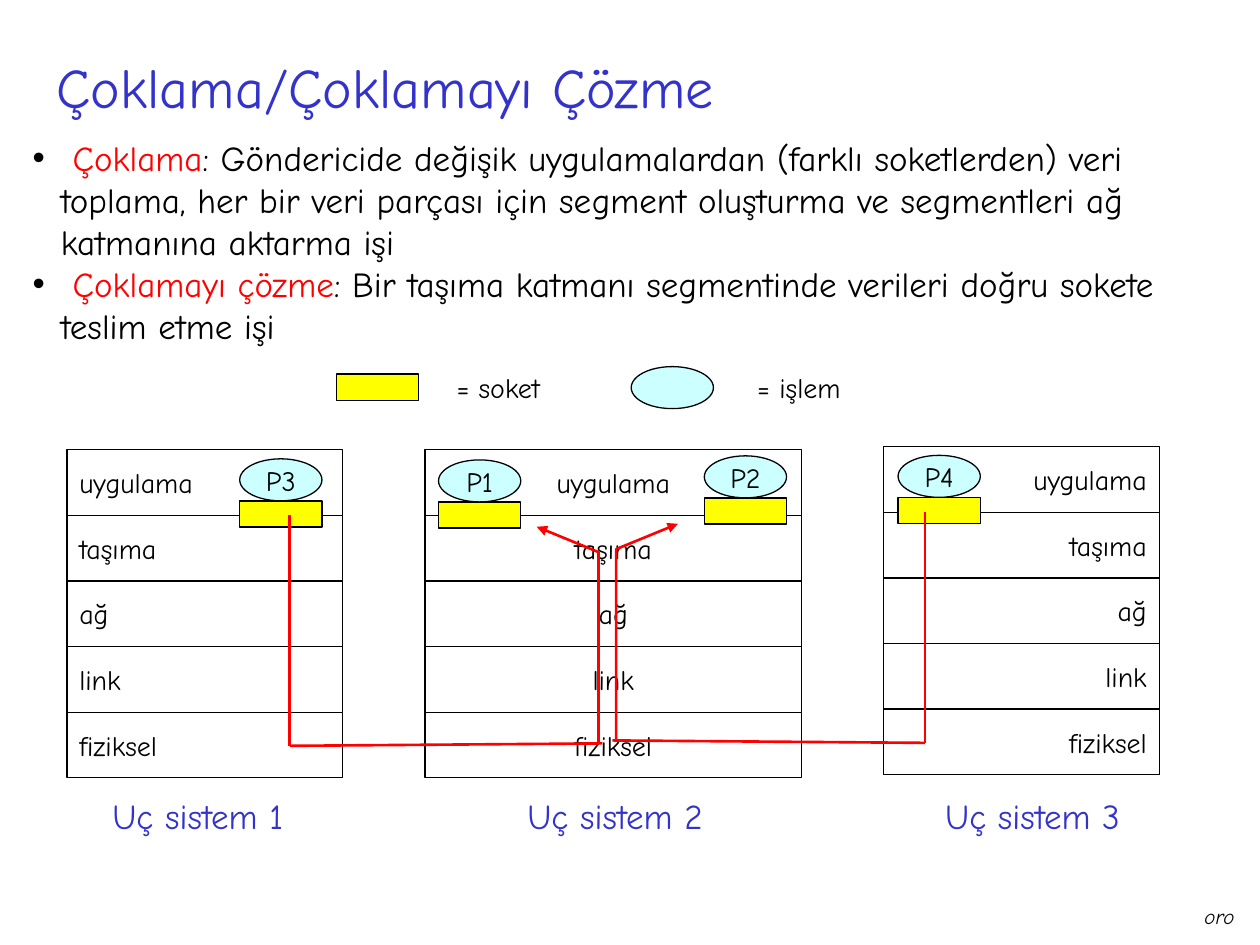
from dataclasses import dataclass

from lxml import etree
from pptx import Presentation
from pptx.dml.color import RGBColor
from pptx.enum import shapes, text
from pptx.oxml import ns
from pptx.util import Pt

RECT, OVAL = shapes.MSO_SHAPE.RECTANGLE, shapes.MSO_SHAPE.OVAL
LEFT, CENTER, RIGHT = text.PP_ALIGN.LEFT, text.PP_ALIGN.CENTER, text.PP_ALIGN.RIGHT


@dataclass(frozen=True)
class Theme:
    font: str = "Comic Neue"
    ink: str = "000000"
    heading: str = "3333CC"
    accent: str = "FF0000"
    layer: str = "FFFFFF"
    socket: str = "FFFF00"
    process: str = "CCFFFF"
    title: int = 32
    body: int = 20
    label: int = 16
    small: int = 12
    outline: float = 0.75
    route: float = 1.5


T = Theme()
LAYERS = ("uygulama", "taşıma", "ağ", "link", "fiziksel")
SYMBOL_W, PROCESS_H, SOCKET_H = 47, 24, 15


def rgb(value):
    return RGBColor.from_string(value)


def style(r, size, color):
    r.font.name, r.font.size = T.font, Pt(size)
    r.font.color.rgb = rgb(color)


def write(sp, words, size, color, align, anchor=text.MSO_ANCHOR.MIDDLE):
    tf = sp.text_frame
    tf.word_wrap, tf.vertical_anchor = False, anchor
    tf.text = words
    p = tf.paragraphs[0]
    p.alignment = align
    style(p.runs[0], size, color)
    return p.runs[0]


def add_label(s, box, words, size, color=T.ink, align=CENTER, anchor=text.MSO_ANCHOR.TOP):
    sp = s.shapes.add_textbox(*map(Pt, box))
    return write(sp, words, size, color, align, anchor)


def add_block(s, kind, box, fill, words="", align=CENTER):
    sp = s.shapes.add_shape(kind, *map(Pt, box))
    sp.shadow.inherit = False
    sp.fill.solid()
    sp.fill.fore_color.rgb = rgb(fill)
    sp.line.color.rgb, sp.line.width = rgb(T.ink), Pt(T.outline)
    if words:
        write(sp, words, T.label, T.ink, align)


def add_definitions(s, box, items):
    tf = s.shapes.add_textbox(*map(Pt, box)).text_frame
    tf.word_wrap = True
    for i, (term, meaning) in enumerate(items):
        p = tf.paragraphs[0] if i == 0 else tf.add_paragraph()
        pPr = p._p.get_or_add_pPr()
        pPr.set("marL", str(Pt(16.2)))
        pPr.set("indent", str(-Pt(16.2)))
        color = etree.SubElement(pPr, ns.qn("a:buClr"))
        etree.SubElement(color, ns.qn("a:srgbClr"), val=T.ink)
        etree.SubElement(pPr, ns.qn("a:buFont"), typeface="Arial")
        etree.SubElement(pPr, ns.qn("a:buChar"), char="•")
        for words, shade in ((" " + term, T.accent), (": " + meaning, T.ink)):
            r = p.add_run()
            r.text = words
            style(r, T.body, shade)


def add_legend(s, box):
    x, y, w, h = box
    add_block(s, RECT, (x, y + 5.8, SYMBOL_W, SOCKET_H), T.socket)
    add_label(s, (x + 61, y, 63, h), "= soket", T.label)
    add_block(s, OVAL, (x + 168.5, y + 1.5, SYMBOL_W, PROCESS_H), T.process)
    add_label(s, (x + w - 62, y, 62, h), "= işlem", T.label)


def add_host(s, box, align, processes, caption, caption_dx):
    """Stack the layers, put each (name, dx, dy) process on its socket, add the caption."""
    x, y, w, h = box
    row = h / len(LAYERS)
    for i, layer in enumerate(LAYERS):
        add_block(s, RECT, (x, y + i * row, w, row), T.layer, layer, align)
    for name, dx, dy in processes:
        left, top = x + dx, y + dy
        add_block(s, RECT, (left, top + PROCESS_H, SYMBOL_W, SOCKET_H), T.socket)
        add_block(s, OVAL, (left, top, SYMBOL_W, PROCESS_H), T.process, name)
    add_label(s, (x + caption_dx, 450.7, w, 31.7), caption, T.body, T.heading)


def style_route(sp):
    sp.line.color.rgb, sp.line.width = rgb(T.accent), Pt(T.route)


def add_path(s, points, arrow=False):
    (x, y), *rest = [(Pt(px), Pt(py)) for px, py in points]
    fb = s.shapes.build_freeform(x, y)
    fb.add_line_segments(rest, close=False)
    sp = fb.convert_to_shape()
    sp.shadow.inherit = False
    sp.fill.background()
    style_route(sp)
    if arrow:
        etree.SubElement(sp.line._get_or_add_ln(), ns.qn("a:tailEnd"), type="triangle")


def add_route(s, box, direction):
    """Run down from a socket, across, and up to the middle host; direction is 1 or -1."""
    x, y, w, h = box
    bend, tip = x + direction * (w - 2.2), x + direction * (w - 37.5)
    floor = y + h - 1.4
    down = s.shapes.add_connector(shapes.MSO_CONNECTOR.STRAIGHT, Pt(x), Pt(y), Pt(x), Pt(y + h))
    etree.SubElement(down._element.spPr, ns.qn("a:effectLst"))
    style_route(down)
    # The effect list must follow the line in the shape properties.
    down._element.spPr.append(down._element.spPr.find(ns.qn("a:effectLst")))
    add_path(s, [(bend, floor), (bend, y + 21), (tip, y + 6.5)], arrow=True)
    add_path(s, [(x, y + h), (x + direction * w, floor)])


def main():
    prs = Presentation()
    prs.slide_width, prs.slide_height = Pt(720), Pt(540)
    s = prs.slides.add_slide(prs.slide_layouts[6])

    add_label(s, (681, 512.6, 31.7, 21.6), "oro", T.small).font.italic = True
    add_label(s, (25.2, 17.3, 677.5, 64), "Çoklama/Çoklamayı Çözme", T.title, T.heading,
              LEFT, text.MSO_ANCHOR.MIDDLE)
    add_definitions(s, (11.5, 74.2, 702, 127.4), [
        ("Çoklama", "Göndericide değişik uygulamalardan (farklı soketlerden) veri toplama, "
                    "her bir veri parçası için segment oluşturma ve segmentleri ağ katmanına "
                    "aktarma işi"),
        ("Çoklamayı çözme", "Bir taşıma katmanı segmentinde verileri doğru sokete teslim "
                            "etme işi"),
    ])
    add_legend(s, (192.2, 208, 295.3, 26.6))

    add_host(s, (38.2, 257, 157.7, 187.5), LEFT, [("P3", 98.8, 5.2)], "Uç sistem 1", -4)
    add_host(s, (242.8, 257, 215.3, 187.5), CENTER, [("P1", 7.8, 5.8), ("P2", 159.7, 3.5)],
             "Uç sistem 2", 1)
    add_host(s, (504.7, 255.2, 157.7, 187.5), RIGHT, [("P4", 8.5, 5)], "Uç sistem 3", 6.5)

    add_route(s, (165.6, 294.5, 178.6, 131.7), 1)
    add_route(s, (528.5, 292.8, 178.6, 131.7), -1)
    prs.save("out.pptx")


if __name__ == "__main__":
    main()
